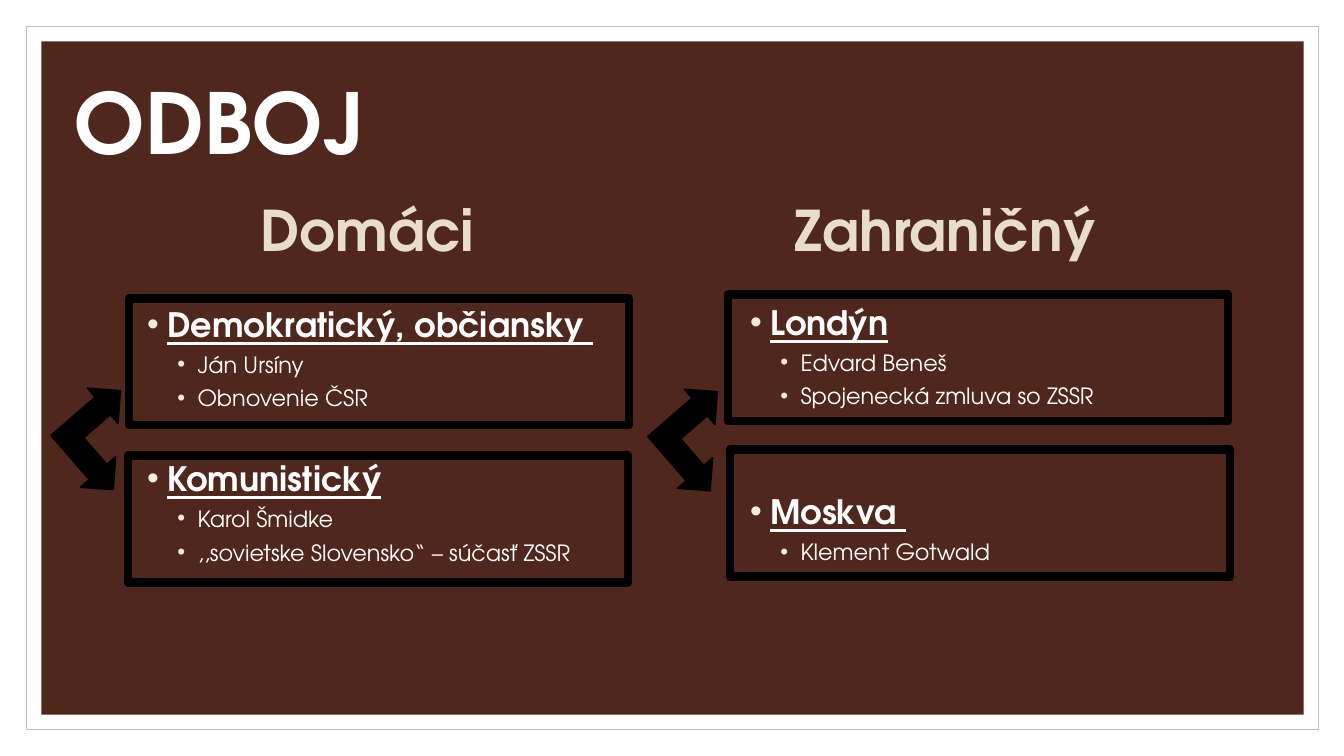
from dataclasses import dataclass

from lxml.etree import SubElement
from pptx import Presentation
from pptx.dml.color import RGBColor
from pptx.enum.shapes import MSO_SHAPE as Preset
from pptx.enum.text import MSO_ANCHOR as Anchor, MSO_AUTO_SIZE as AutoSize, PP_ALIGN as Align
from pptx.oxml.ns import qn
from pptx.util import Inches, Pt


@dataclass(frozen=True)
class Theme:
    font: str = "TeX Gyre Adventor"
    white: str = "FFFFFF"
    brown: str = "4F271C"
    cream: str = "E7DEC9"
    bullet: str = "F1EBDF"
    frame: str = "BFBFBF"
    black: str = "000000"
    title_size: int = 60
    heading_size: int = 40
    topic_size: int = 24
    detail_size: int = 16


THEME = Theme()
BOX_WIDTH, BOX_HEIGHT = 4.96, 1.26
ARROW_SIZE, ARROW_ROTATION = 0.93, 139.1


def color(value):
    return RGBColor.from_string(value)


def place(shape, left, top, width, height):
    shape.left, shape.top = Inches(left), Inches(top)
    shape.width, shape.height = Inches(width), Inches(height)


def write(paragraph, text, *, size, ink=THEME.white, bold=False, underline=False,
          align=Align.LEFT, before=0, spacing=1.0):
    paragraph.alignment = align
    paragraph.space_before = Pt(before)
    paragraph.line_spacing = spacing
    run = paragraph.add_run()
    run.text = text
    font = run.font
    font.name, font.size = THEME.font, Pt(size)
    font.bold, font.underline = bold, underline
    font.color.rgb = color(ink)


def prepare_frame(placeholder, area, anchor):
    place(placeholder, *area)
    frame = placeholder.text_frame
    frame.word_wrap = True
    frame.auto_size = AutoSize.NONE
    frame.vertical_anchor = anchor
    return frame


def add_bullet(paragraph, indent):
    properties = paragraph._p.get_or_add_pPr()
    properties.set("marL", str(Inches(indent)))
    properties.set("indent", str(Inches(-0.2)))
    bullet_color = SubElement(properties, qn("a:buClr"))
    SubElement(bullet_color, qn("a:srgbClr"), val=THEME.bullet)
    SubElement(properties, qn("a:buFont"), typeface="Arial")
    SubElement(properties, qn("a:buChar"), char="•")


def fill_heading(placeholder, text, left, right_inset):
    frame = prepare_frame(placeholder, (left, 1.92, 5.2, 0.7), Anchor.MIDDLE)
    frame.margin_right = Inches(right_inset)
    write(frame.paragraphs[0], text, size=THEME.heading_size, ink=THEME.cream,
          bold=True, align=Align.CENTER)


def fill_topics(placeholder, topics, left, top, topic_gap):
    frame = prepare_frame(placeholder, (left, top, 5.2, 3.5), Anchor.TOP)
    for index, (topic, details) in enumerate(topics):
        paragraph = frame.add_paragraph() if index else frame.paragraphs[0]
        add_bullet(paragraph, 0.2)
        write(paragraph, topic, size=THEME.topic_size, bold=True, underline=True,
              before=topic_gap if index else 0)
        for detail in details:
            paragraph = frame.add_paragraph()
            paragraph.level = 1
            add_bullet(paragraph, 0.5)
            write(paragraph, detail, size=THEME.detail_size, before=5)


def add_preset(slide, preset, area, *, fill=None, line=None, weight=1):
    shape = slide.shapes.add_shape(preset, *map(Inches, area))
    shape.shadow.inherit = False
    if fill:
        shape.fill.solid()
        shape.fill.fore_color.rgb = color(fill)
    else:
        shape.fill.background()
    if line:
        shape.line.color.rgb = color(line)
        shape.line.width = Pt(weight)
    else:
        shape.line.fill.background()
    return shape


def add_backdrop(slide):
    border = add_preset(slide, Preset.RECTANGLE, (0.26, 0.26, 12.82, 6.98),
                        fill=THEME.white, line=THEME.frame, weight=0.5)
    panel = add_preset(slide, Preset.RECTANGLE, (0.41, 0.41, 12.52, 6.68), fill=THEME.brown)
    tree = slide.shapes._spTree
    for position, shape in enumerate((border, panel), start=2):
        tree.insert(position, shape._element)


def add_box(slide, left, top):
    add_preset(slide, Preset.RECTANGLE, (left, top, BOX_WIDTH, BOX_HEIGHT),
               line=THEME.black, weight=6)


def add_fork_arrow(slide, left, top):
    arrow = add_preset(slide, Preset.LEFT_UP_ARROW, (left, top, ARROW_SIZE, ARROW_SIZE),
                       fill=THEME.black, line=THEME.black)
    arrow.rotation = ARROW_ROTATION


def main():
    presentation = Presentation()
    presentation.slide_width, presentation.slide_height = Inches(13.33), Inches(7.5)
    slide = presentation.slides.add_slide(presentation.slide_layouts.get_by_name("Comparison"))
    title, home_heading, home_body, abroad_heading, abroad_body = slide.placeholders

    add_backdrop(slide)
    frame = prepare_frame(title, (0.64, 0.51, 3.59, 1.5), Anchor.MIDDLE)
    write(frame.paragraphs[0], "ODBOJ", size=THEME.title_size, bold=True, spacing=0.9)

    fill_heading(home_heading, "Domáci", 1.12, 0.25)
    fill_topics(home_body, [
        ("Demokratický, občiansky ", ["Ján Ursíny", "Obnovenie ČSR"]),
        ("Komunistický", ["Karol Šmidke", ",,sovietske Slovensko“ – súčasť ZSSR"]),
    ], 1.36, 2.96, 33)
    fill_heading(abroad_heading, "Zahraničný", 6.93, 0.41)
    fill_topics(abroad_body, [
        ("Londýn", ["Edvard Beneš", "Spojenecká zmluva so ZSSR"]),
        ("Moskva ", ["Klement Gotwald"]),
    ], 7.34, 2.94, 58)

    for left, top in ((1.28, 2.96), (1.27, 4.52), (7.22, 2.92), (7.24, 4.46)):
        add_box(slide, left, top)
    for left, top in ((0.53, 3.89), (6.45, 3.9)):
        add_fork_arrow(slide, left, top)
    presentation.save("out.pptx")


if __name__ == "__main__":
    main()
